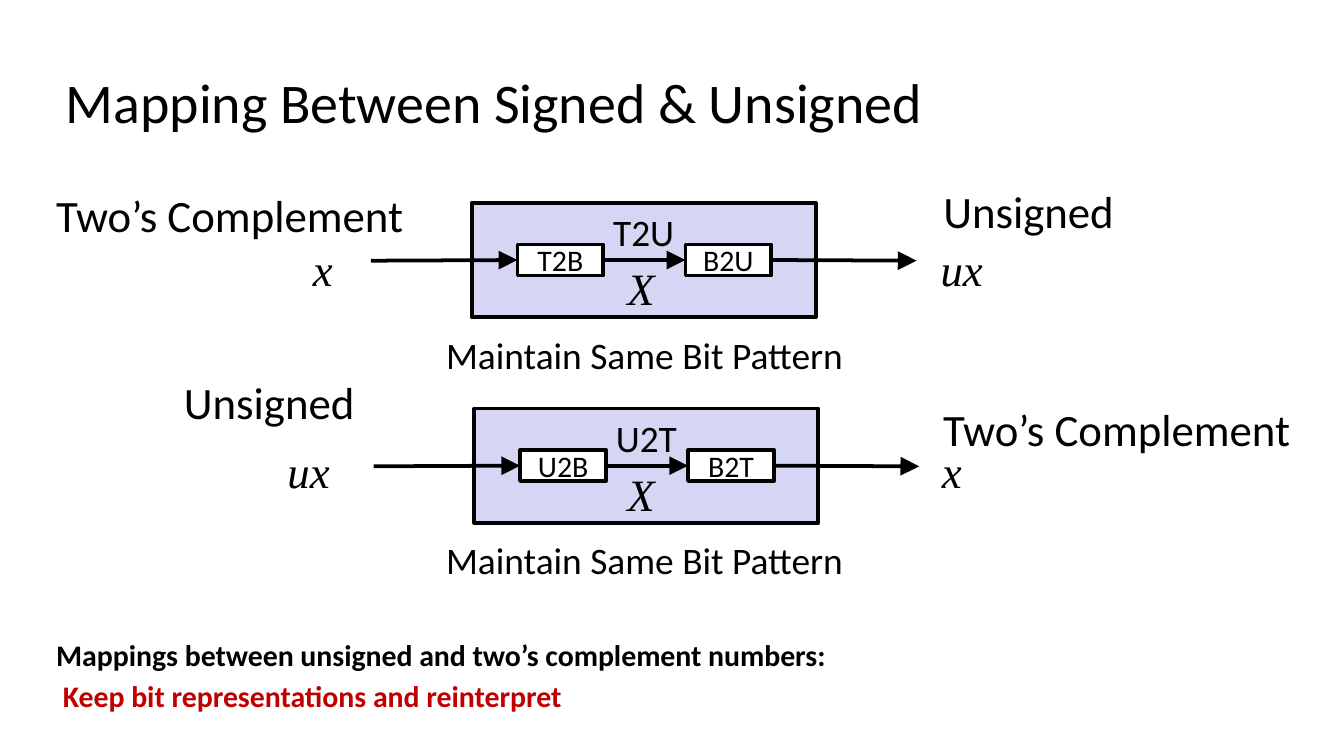
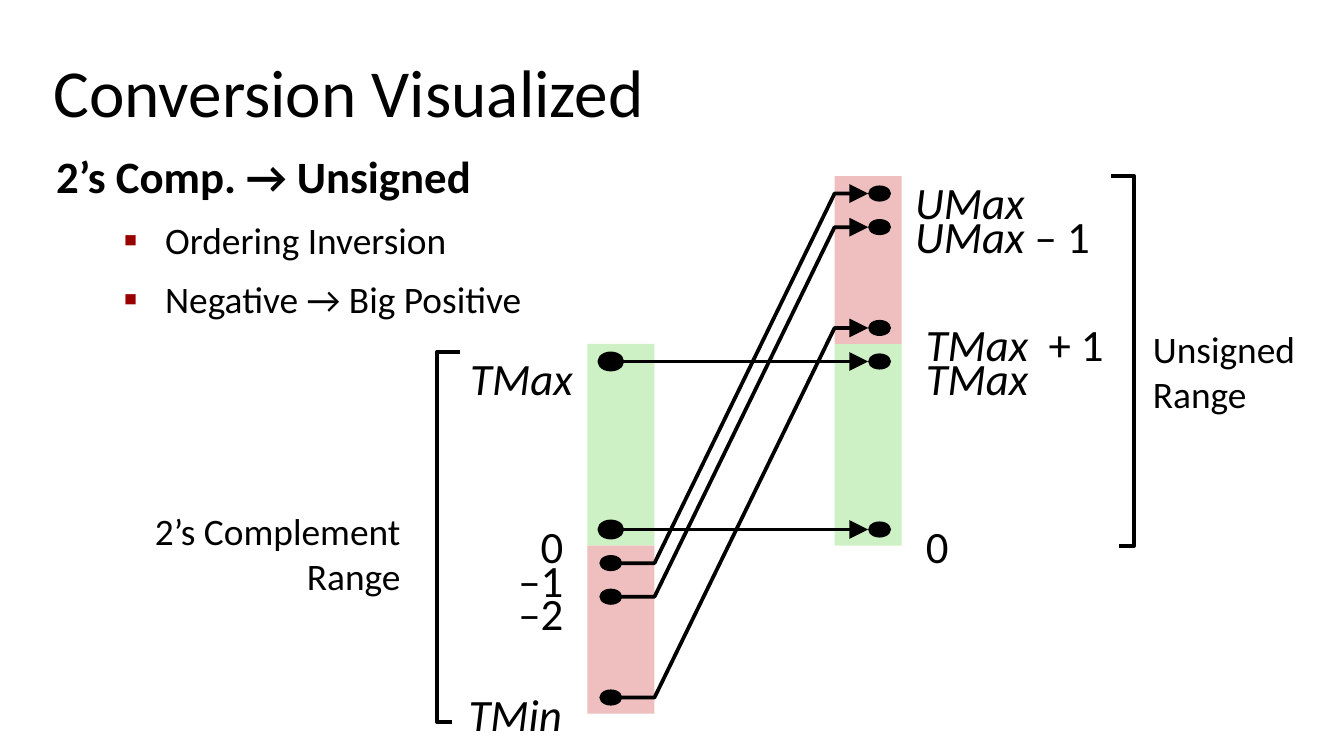
"""Builds two slides on converting between signed and unsigned integers."""
from dataclasses import dataclass

from lxml.etree import SubElement
from pptx import Presentation
from pptx.dml.color import RGBColor
from pptx.enum.shapes import MSO_CONNECTOR as Connector, MSO_SHAPE as Shape
from pptx.enum.text import MSO_ANCHOR as Anchor, PP_ALIGN as Align
from pptx.oxml.ns import qn
from pptx.util import Inches, Pt


@dataclass(frozen=True)
class Theme:
    ink: str = "000000"
    paper: str = "FFFFFF"
    panel: str = "D5D5F4"
    positive: str = "CDF1C5"
    negative: str = "EFBFBF"
    accent: str = "C00000"
    bullet: str = "990000"
    font: str = "Calibri"
    math_font: str = "Times New Roman"
    title: int = 36
    long_title: int = 30
    large: int = 24
    medium: int = 20
    small: int = 16
    line: int = 2
    body_spacing: float = 1.15


THEME = Theme()
LEFT, RIGHT = 1, 3


def add_text(para, text, *, size=THEME.large, color=THEME.ink, font=THEME.font,
             bold=False, italic=False):
    for index, part in enumerate(text.split("\n")):
        if index:
            para.add_line_break()
        span = para.add_run()
        span.text = part
        span.font.size = Pt(size)
        span.font.name = font
        span.font.bold = bold
        span.font.italic = italic
        span.font.color.rgb = RGBColor.from_string(color)


def add_arrowhead(line_shape):
    outline = line_shape.element.spPr.find(qn("a:ln"))
    SubElement(outline, qn("a:tailEnd"), type="triangle", w="lg", len="lg")


def add_bullet(para):
    para.space_before = Pt(4)
    para.level = 1
    props = para._p.get_or_add_pPr()
    props.set("marL", str(Inches(0.81)))
    props.set("indent", str(Inches(-0.31)))
    color = SubElement(props, qn("a:buClr"))
    SubElement(color, qn("a:srgbClr"), val=THEME.bullet)
    SubElement(props, qn("a:buSzPct"), val="110000")
    SubElement(props, qn("a:buFont"), typeface=THEME.math_font)
    SubElement(props, qn("a:buChar"), char="▪")


class Canvas:
    def __init__(self, deck, theme):
        self.deck = deck
        self.theme = theme
        self.page = None

    def new_page(self):
        self.page = self.deck.slides.add_slide(self.deck.slide_layouts[6])

    def stroke(self, shape):
        shape.line.color.rgb = RGBColor.from_string(self.theme.ink)
        shape.line.width = Pt(self.theme.line)

    def shape(self, kind, left, top, width, height, fill, outlined=False):
        shape = self.page.shapes.add_shape(
            kind, Inches(left), Inches(top), Inches(width), Inches(height))
        shape.shadow.inherit = False
        shape.fill.solid()
        shape.fill.fore_color.rgb = RGBColor.from_string(fill)
        if outlined:
            self.stroke(shape)
        else:
            shape.line.fill.background()
        return shape

    def block(self, text, left, top, width, height, fill, size, anchor):
        block = self.shape(Shape.RECTANGLE, left, top, width, height, fill, True)
        block.text_frame.vertical_anchor = anchor
        para = block.text_frame.paragraphs[0]
        para.alignment = Align.CENTER
        add_text(para, text, size=size)
        return block

    def text(self, paragraphs, left, top, width, height, *, align=Align.LEFT,
             anchor=Anchor.TOP, spacing=None, **style):
        box = self.page.shapes.add_textbox(
            Inches(left), Inches(top), Inches(width), Inches(height))
        frame = box.text_frame
        frame.word_wrap = True
        frame.vertical_anchor = anchor
        for index, spans in enumerate(paragraphs):
            para = frame.add_paragraph() if index else frame.paragraphs[0]
            para.alignment = align
            para.line_spacing = spacing
            for text, changes in spans:
                add_text(para, text, **{**style, **changes})
        return frame

    def label(self, text, left, top, width, height=0.38, **style):
        return self.text([[(text, {})]], left, top, width, height, **style)

    def math(self, text, left, top, width):
        self.label(text, left, top, width, font=self.theme.math_font, italic=True)

    def title(self, text, left, top, width, height, size):
        self.label(text, left, top, width, height, anchor=Anchor.MIDDLE, size=size)

    def arrow(self, start, end, source=None, target=None):
        arrow = self.page.shapes.add_connector(
            Connector.STRAIGHT, *map(Inches, start + end))
        if source:
            arrow.begin_connect(source, RIGHT)
        if target:
            arrow.end_connect(target, LEFT)
        self.stroke(arrow)
        add_arrowhead(arrow)
        SubElement(arrow.element.spPr, qn("a:effectLst"))

    def path_line(self, points, arrow=False):
        start, *rest = [(Inches(x), Inches(y)) for x, y in points]
        builder = self.page.shapes.build_freeform(*start)
        builder.add_line_segments(rest, close=False)
        outline = builder.convert_to_shape()
        outline.shadow.inherit = False
        outline.fill.background()
        self.stroke(outline)
        if arrow:
            add_arrowhead(outline)

    def dot(self, left, middle, outlined=False):
        self.shape(Shape.OVAL, left, middle - 0.06, 0.17, 0.12,
                   self.theme.ink, outlined)


def draw_mapping(canvas, left, top, name, encode, decode):
    theme = canvas.theme
    middle = top + 0.43
    canvas.block(name, left, top, 2.56, 0.85, theme.panel, theme.medium, Anchor.TOP)
    encoder, decoder = [
        canvas.block(step, left + offset, top + 0.31, 0.64, 0.23,
                     theme.paper, theme.small, Anchor.MIDDLE)
        for step, offset in ((encode, 0.34), (decode, 1.59))]
    start, end = (left - 0.75, middle), (left + 3.31, middle)
    canvas.arrow(start, (left + 0.34, middle), target=encoder)
    canvas.arrow((left + 2.23, middle), end, source=decoder)
    canvas.arrow((left + 0.98, middle), (left + 1.59, middle), encoder, decoder)
    canvas.math("X", 4.57, top + 0.38, 0.4)
    canvas.label("Maintain Same Bit Pattern", 3.22, top + 0.91, 3.19, 0.33,
                 size=theme.medium)


def build_mapping_page(canvas):
    theme = canvas.theme
    canvas.new_page()
    canvas.title("Mapping Between Signed & Unsigned", 0.39, 0.44, 8.3, 0.62,
                 theme.long_title)
    draw_mapping(canvas, 3.51, 1.51, "T2U", "T2B", "B2U")
    draw_mapping(canvas, 3.53, 3.04, "U2T", "U2B", "B2T")
    for text, left, top, width in (
            ("Two’s Complement", 0.32, 1.35, 2.87), ("Unsigned", 6.92, 1.32, 1.51),
            ("Unsigned", 1.27, 2.74, 1.51), ("Two’s Complement", 6.92, 2.94, 2.87)):
        canvas.label(text, left, top, width)
    for text, left, top, width in (("x", 2.23, 1.75, 0.35), ("ux", 6.9, 1.75, 0.52),
                                   ("ux", 2.04, 3.25, 0.64), ("x", 6.91, 3.25, 0.35)):
        canvas.math(text, left, top, width)
    canvas.text([[("Mappings between unsigned and two’s complement numbers:\n ", {}),
                  ("Keep bit representations and reinterpret",
                   {"color": theme.accent})]],
                0.32, 4.65, 9.47, 0.72, size=theme.small, bold=True,
                spacing=theme.body_spacing)


def build_conversion_page(canvas):
    theme = canvas.theme
    signed, unsigned, band_width = 4.37, 6.21, 0.5
    tail, head = 4.62, 6.46
    slant = {"italic": True}
    canvas.new_page()
    for left, top, height, color in (
            (unsigned, 2.56, 1.5, theme.positive), (signed, 2.56, 1.5, theme.positive),
            (signed, 4.06, 1.25, theme.negative), (unsigned, 1.31, 1.25, theme.negative)):
        canvas.shape(Shape.RECTANGLE, left, top, band_width, height, color)

    for start, end in ((2.69, 2.69), (3.94, 3.94),
                       (4.19, 1.44), (4.44, 1.69), (5.19, 2.44)):
        straight = start == end
        canvas.dot(4.46, start, outlined=straight)
        canvas.dot(head, end)
        if straight:
            canvas.arrow((tail, start), (head, end))
        else:
            canvas.path_line([(tail, start), (signed + band_width, start),
                              (unsigned, end), (head, end)], arrow=True)

    for text, left, top, width, style in (
            ("TMax", 3.39, 2.56, 0.97, slant), ("0", 3.46, 3.81, 0.83, {}),
            ("–1", 3.46, 4.06, 0.83, {}), ("–2", 3.46, 4.31, 0.83, {}),
            ("TMin", 3.38, 5.06, 0.9, slant)):
        canvas.label(text, left, top, width, align=Align.RIGHT, **style)
    for spans, left, top, width in (
            ([("UMax", slant)], 6.71, 1.25, 1.25),
            ([("UMax", slant), (" – 1", {})], 6.71, 1.5, 1.58),
            ([("TMax  ", slant), ("+ 1", {})], 6.79, 2.31, 1.54),
            ([("TMax", slant)], 6.79, 2.56, 0.97),
            ([("0", {})], 6.79, 3.81, 0.83)):
        canvas.text([spans], left, top, width, 0.38)

    canvas.label("2’s Complement Range", 0.75, 3.73, 2.33, 0.58,
                 align=Align.RIGHT, size=theme.medium)
    canvas.text([[("Unsigned", {})], [("Range", {})]], 8.48, 2.38, 1.27, 0.58,
                size=theme.medium)
    for spine, top, upper, lower in ((3.25, 2.62, 3.42, 3.36), (8.44, 1.31, 8.27, 8.33)):
        bottom = top + 2.75
        canvas.path_line([(lower, bottom), (spine, bottom), (spine, top), (upper, top)])

    canvas.title("Conversion Visualized", 0.3, 0.44, 8.69, 0.47, theme.title)
    point = {"size": theme.medium, "bold": False}
    body = canvas.text([[("2’s Comp. → Unsigned", {})],
                        [("Ordering Inversion", point)],
                        [("Negative → Big Positive", point)]],
                       0.32, 1, 4.55, 1.41, bold=True, spacing=theme.body_spacing)
    for para in body.paragraphs[1:]:
        add_bullet(para)


def main():
    deck = Presentation()
    deck.slide_width = Inches(10)
    deck.slide_height = deck.slide_width * 9 // 16
    canvas = Canvas(deck, THEME)
    build_mapping_page(canvas)
    build_conversion_page(canvas)
    deck.save("out.pptx")


if __name__ == "__main__":
    main()
